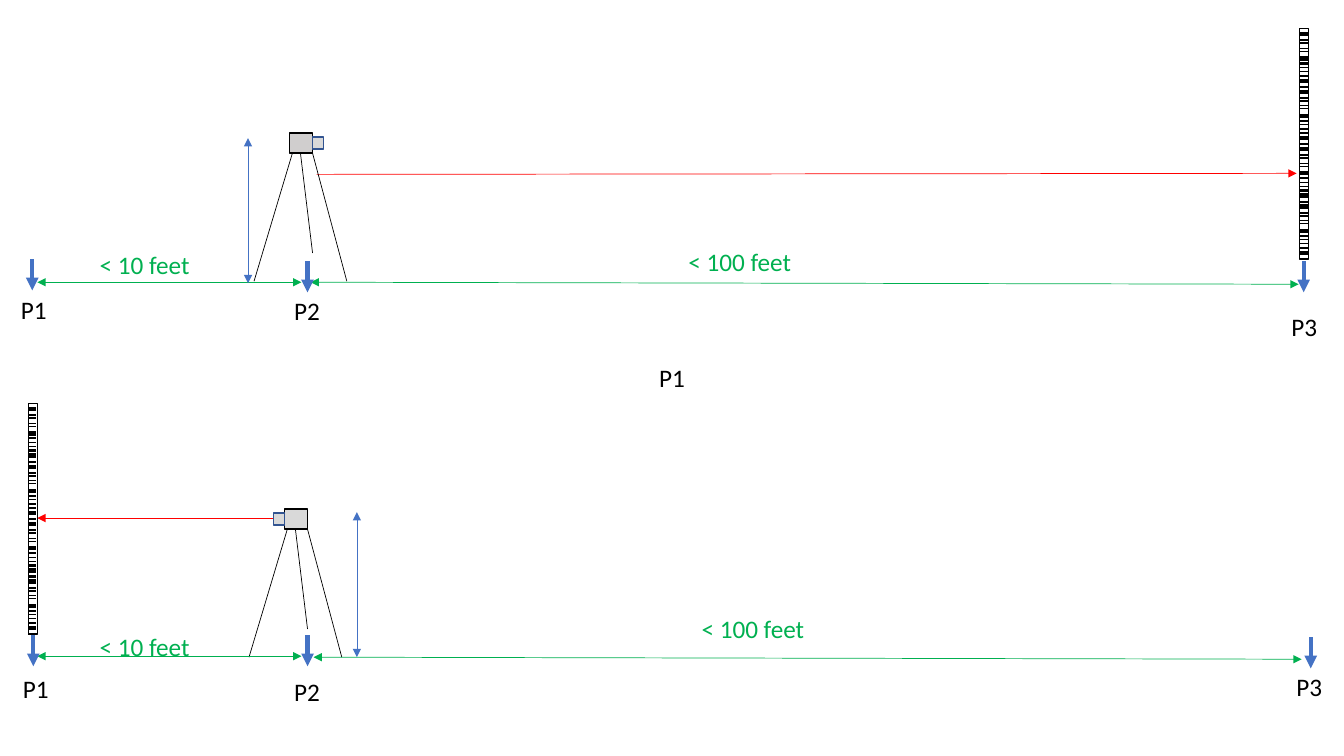
from lxml import etree
from pptx import Presentation
from pptx.dml.color import RGBColor
from pptx.enum.shapes import MSO_CONNECTOR, MSO_SHAPE
from pptx.enum.text import MSO_AUTO_SIZE
from pptx.oxml.ns import qn
from pptx.util import Inches, Pt

STRAIGHT = MSO_CONNECTOR.STRAIGHT
RECTANGLE = MSO_SHAPE.RECTANGLE
FIT_SHAPE = MSO_AUTO_SIZE.SHAPE_TO_FIT_TEXT

BLACK, WHITE, RED, GREEN, BLUE = "000000", "FFFFFF", "FF0000", "00B050", "4472C4"
BODY_GREY, LENS_GREY, LENS_EDGE = "D0CECE", "D9D9D9", "325491"

ROD_WIDTH, ROD_HEIGHT = 0.09, 2.29
MARK_PITCH, MARK_GROUPS = 0.57, 4
# Offset from the rod top and line weight of each mark in one group
ROD_MARKS = [(0.06, 3), (0.12, 1.5), (0.15, 1.5), (0.2, 0.75), (0.23, 0.75),
             (0.3, 3), (0.35, 1.5), (0.39, 0.75), (0.43, 0.75), (0.47, 1.5),
             (0.52, 3), (0.58, 1.5)]


def colour(hex_string):
    """Turn a hex string into a colour."""
    return RGBColor.from_string(hex_string)


def add_line(slide, start, end, hex_string, weight, head=False, tail=False):
    """Draw a straight line, with arrowheads at its start or end if asked."""
    line = slide.shapes.add_connector(
        STRAIGHT, *(Inches(value) for value in (*start, *end)))
    line.line.color.rgb = colour(hex_string)
    line.line.width = Pt(weight)
    outline = line.line._get_or_add_ln()
    for tag, wanted in (("a:headEnd", head), ("a:tailEnd", tail)):
        if wanted:
            etree.SubElement(outline, qn(tag)).set("type", "triangle")
    etree.SubElement(line._element.spPr, qn("a:effectLst"))


def add_box(slide, left, top, width, height, fill, edge):
    """Draw a plain filled rectangle."""
    box = slide.shapes.add_shape(
        RECTANGLE, Inches(left), Inches(top), Inches(width), Inches(height))
    box.shadow.inherit = False
    box.fill.solid()
    box.fill.fore_color.rgb = colour(fill)
    box.line.color.rgb = colour(edge)
    box.line.width = Pt(1)


def add_label(slide, left, top, wording, hex_string=BLACK, width=0.46):
    """Write one line of text."""
    label = slide.shapes.add_textbox(
        Inches(left), Inches(top), Inches(width), Inches(0.4))
    frame = label.text_frame
    frame.word_wrap = False
    frame.auto_size = FIT_SHAPE
    frame.text = wording
    font = frame.paragraphs[0].runs[0].font
    font.name, font.size = "Calibri", Pt(18)
    font.color.rgb = colour(hex_string)


def add_level(slide, left, top, body_fill, faces_right):
    """Draw the levelling instrument on its tripod."""
    lens_left = left + 0.23 if faces_right else left - 0.11
    add_box(slide, left, top, 0.23, 0.2, body_fill, BLACK)
    add_box(slide, lens_left, top + 0.04, 0.11, 0.12, LENS_GREY, LENS_EDGE)
    for hip, foot, drop in ((0.03, -0.35, 1.47), (0.23, 0.57, 1.47), (0.11, 0.23, 1.19)):
        add_line(slide, (left + hip, top + 0.2), (left + foot, top + drop), BLACK, 0.5)


def add_rod(slide, left, top):
    """Draw the graduated rod from its repeating group of marks."""
    add_box(slide, left, top, ROD_WIDTH, ROD_HEIGHT, WHITE, BLACK)
    for group in range(MARK_GROUPS):
        for offset, weight in ROD_MARKS:
            y = top + group * MARK_PITCH + offset
            add_line(slide, (left, y), (left + 0.08, y), BLACK, weight)


def add_survey(slide, top, sight, level, rod_left, height_x, height_top,
               spans, stakes, points, distances):
    """Draw one survey setup; all heights are relative to its top."""
    def place(point):
        return point[0], top + point[1]

    add_line(slide, *map(place, sight), RED, 0.5, tail=True)
    level_left, level_top, body_fill, faces_right = level
    add_level(slide, level_left, top + level_top, body_fill, faces_right)
    for start, end in spans:
        add_line(slide, place(start), place(end), GREEN, 0.5, head=True, tail=True)
    add_rod(slide, rod_left, top)
    for x, y in stakes:
        add_line(slide, place((x, y)), place((x, y + 0.31)), BLUE, 3, tail=True)
    for number, point in enumerate(points, 1):
        add_label(slide, *place(point), f"P{number}")
    for feet, width, point in zip((10, 100), (1.11, 1.23), distances):
        add_label(slide, *place(point), f"< {feet} feet", GREEN, width)
    add_line(slide, place((height_x, height_top)), place((height_x, height_top + 1.44)),
             BLUE, 0.5, head=True, tail=True)


def main():
    """Build the slide with the two setups and save it."""
    deck = Presentation()
    deck.slide_width, deck.slide_height = Inches(13.33), Inches(7.5)
    slide = deck.slides.add_slide(deck.slide_layouts[6])
    add_survey(
        slide, top=0.28, sight=((3.14, 1.45), (12.86, 1.44)),
        level=(2.87, 1.04, BODY_GREY, True), rod_left=12.89,
        height_x=2.46, height_top=1.09,
        spans=[((0.37, 2.52), (2.99, 2.52)), ((3.08, 2.52), (12.88, 2.54))],
        stakes=[(0.32, 2.29), (3.05, 2.31), (12.93, 2.31)],
        points=[(0.11, 2.59), (2.82, 2.6), (12.71, 2.76)],
        distances=[(0.89, 2.14), (6.73, 2.11)])
    add_label(slide, 6.44, 3.55, "P1")
    add_survey(
        slide, top=4, sight=((2.71, 1.14), (0.37, 1.14)),
        level=(2.82, 1.05, LENS_GREY, False), rod_left=0.28,
        height_x=3.54, height_top=1.08,
        spans=[((0.37, 2.51), (2.99, 2.51)), ((3.11, 2.52), (12.91, 2.54))],
        stakes=[(0.33, 2.3), (3.05, 2.3), (13, 2.32)],
        points=[(0.13, 2.63), (2.82, 2.66), (12.76, 2.61)],
        distances=[(0.89, 2.21), (6.86, 2.04)])
    deck.save("out.pptx")


main()
